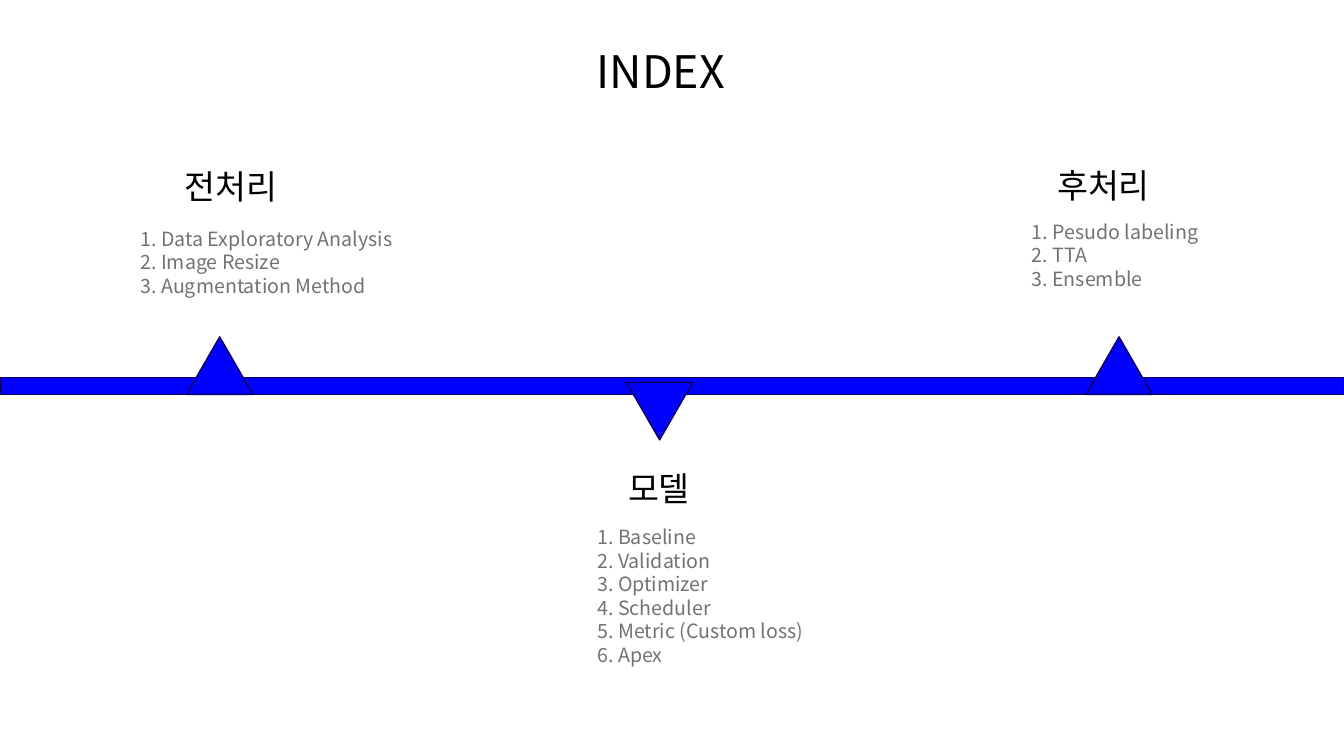
import dataclasses

import pptx
import pptx.dml.color
import pptx.enum.shapes
import pptx.enum.text
import pptx.oxml.ns
import pptx.util
from lxml import etree

Pt = pptx.util.Pt
Shape = pptx.enum.shapes.MSO_SHAPE


@dataclasses.dataclass(frozen=True)
class Theme:
    font: str = "Noto Sans CJK KR"
    title_size: int = 32
    heading_size: int = 24
    list_size: int = 14
    ink: str = "000000"
    muted: str = "767171"
    fill: str = "0000FF"
    outline: str = "110058"


def rgb(value):
    return pptx.dml.color.RGBColor.from_string(value)


def add_text(para, text, *, font, size, color):
    """Add one formatted span, with the font set for Latin and Korean."""
    span = para.add_run()
    span.text = text
    span.font.name = font
    span.font.size = Pt(size)
    span.font.color.rgb = rgb(color)
    east_asian = etree.Element(pptx.oxml.ns.qn("a:ea"), typeface=font)
    span.font._element.find(pptx.oxml.ns.qn("a:latin")).addnext(east_asian)


class IndexPage:
    def __init__(self, page, theme):
        self.page = page
        self.theme = theme

    def shape(self, kind, left, top, width, height, rotation=0):
        shape = self.page.shapes.add_shape(
            kind, Pt(left), Pt(top), Pt(width), Pt(height))
        shape.shadow.inherit = False
        shape.rotation = rotation
        shape.fill.solid()
        shape.fill.fore_color.rgb = rgb(self.theme.fill)
        shape.line.color.rgb = rgb(self.theme.outline)
        shape.line.width = Pt(1)

    def text(self, lines, left, top, width, height, size, color, wrap=False):
        box = self.page.shapes.add_textbox(
            Pt(left), Pt(top), Pt(width), Pt(height))
        frame = box.text_frame
        frame.word_wrap = wrap
        frame.auto_size = pptx.enum.text.MSO_AUTO_SIZE.SHAPE_TO_FIT_TEXT
        for index, line in enumerate(lines):
            para = frame.add_paragraph() if index else frame.paragraphs[0]
            add_text(para, line, font=self.theme.font, size=size, color=color)

    def title(self, text, left, top, width, height):
        self.text([text], left, top, width, height,
                  self.theme.title_size, self.theme.ink)

    def heading(self, text, left, top, width):
        self.text([text], left, top, width, 36,
                  self.theme.heading_size, self.theme.ink)

    def numbered_list(self, items, left, top, width):
        lines = [f"{number}. {item}" for number, item in enumerate(items, 1)]
        self.text(lines, left, top, width, 7.2 + 16.9 * len(items),
                  self.theme.list_size, self.theme.muted, wrap=True)

    def marker(self, left, top, rotation):
        self.shape(Shape.ISOSCELES_TRIANGLE, left, top, 47.5, 41.2, rotation)


# Each stage: marker, heading and list
STAGES = [
    dict(marker=(133.2, 240.6, 0), heading=("전처리", 124.6, 115.2, 87.1),
         items=["Data Exploratory Analysis", "Image Resize",
                "Augmentation Method"],
         place=(93.3, 158.4, 244)),
    dict(marker=(447.4, 273, 180), heading=("모델", 441.5, 330.5, 63.4),
         items=["Baseline", "Validation", "Optimizer", "Scheduler",
                "Metric (Custom loss)", "Apex"],
         place=(419.6, 371.5, 310.3)),
    dict(marker=(775.6, 240.6, 0), heading=("후처리", 748, 114.5, 87.1),
         items=["Pesudo labeling", "TTA", "Ensemble"],
         place=(729.8, 153.2, 273)),
]


def main():
    deck = pptx.Presentation()
    deck.slide_width, deck.slide_height = Pt(960), Pt(540)
    page = IndexPage(deck.slides.add_slide(deck.slide_layouts[6]), Theme())

    # Timeline bar and markers
    page.shape(Shape.RECTANGLE, 0, 269.8, 960, 12)
    for stage in STAGES:
        page.marker(*stage["marker"])

    # Title, headings and lists
    page.title("INDEX", 419, 27.4, 107.3, 46)
    for stage in STAGES:
        page.heading(*stage["heading"])
    for stage in STAGES:
        page.numbered_list(stage["items"], *stage["place"])

    deck.save("out.pptx")


if __name__ == "__main__":
    main()
